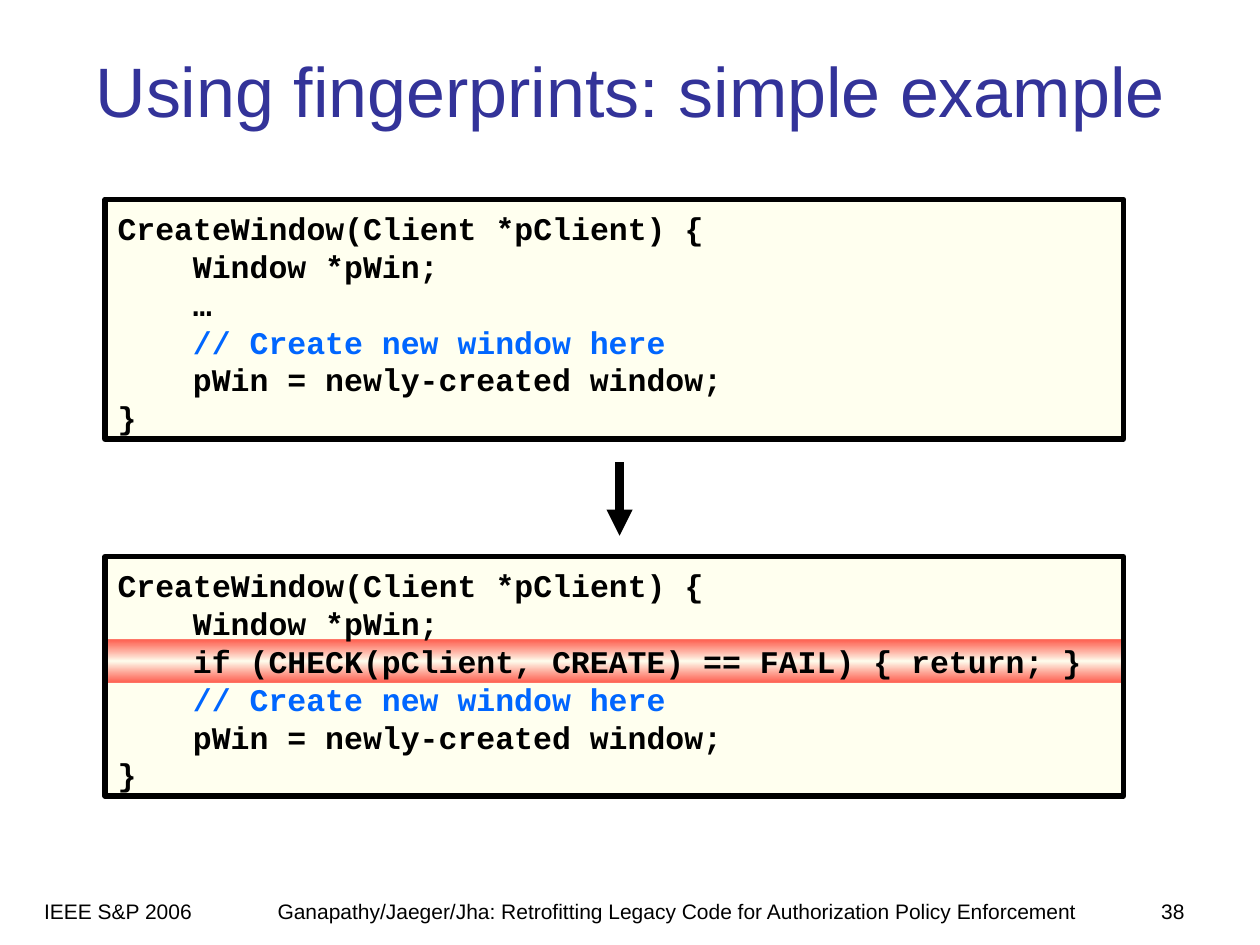
from lxml import etree
from pptx import Presentation
from pptx.dml.color import RGBColor
from pptx.enum import shapes, text
from pptx.oxml import ns
from pptx.util import Cm, Pt

# Content
TITLE = "Using fingerprints: simple example"
BLACK, BLUE = "000000", "0066FF"
COMMON_START = [("CreateWindow(Client *pClient) {", 0, BLACK),
                ("Window *pWin;", 1, BLACK)]
COMMON_END = [("// Create new window here", 1, BLUE),
              ("pWin = newly-created window;", 1, BLACK),
              ("}", 0, BLACK)]
CHANGED_LINES = ["…", "if (CHECK(pClient, CREATE) == FAIL) { return; }"]
FOOTERS = [  # text, left, width, alignment
    ("Ganapathy/Jaeger/Jha: Retrofitting Legacy Code for Authorization Policy Enforcement",
     4.66, 17.99, text.PP_ALIGN.CENTER),
    ("38", 22.65, 1.48, text.PP_ALIGN.RIGHT),
    ("IEEE S&P 2006", 0.64, 4.02, text.PP_ALIGN.LEFT),
]

# Layout in centimetres
BOX_LEFT, BOX_WIDTH, BOX_HEIGHT = 2.12, 20.53, 4.83
BOX_TOPS = [4.02, 11.22]
HIGHLIGHT_TOP, HIGHLIGHT_HEIGHT = 12.9, 0.85
ARROW_X, ARROW_TOP, ARROW_BOTTOM = 12.49, 9.32, 10.8
FOOTER_TOP, FOOTER_HEIGHT = 17.99, 0.68
INDENT = 1.52


def color(value):
    return RGBColor.from_string(value)


def add_xml(parent, tag, **attributes):
    element = etree.SubElement(parent, ns.qn(tag))
    for name, value in attributes.items():
        element.set(name, str(value))
    return element


def format_frame(frame, **values):
    settings = dict(word_wrap=True, auto_size=text.MSO_AUTO_SIZE.NONE,
                    vertical_anchor=text.MSO_ANCHOR.TOP,
                    margin_left=Cm(0.25), margin_right=Cm(0.25),
                    margin_top=Cm(0.13), margin_bottom=Cm(0.13))
    settings.update(values)
    for name, value in settings.items():
        setattr(frame, name, value)


def write(paragraph, words, name, size, value, bold=False):
    run = paragraph.add_run()
    run.text = words
    for key, setting in dict(name=name, size=Pt(size), bold=bold).items():
        setattr(run.font, key, setting)
    run.font.color.rgb = color(value)


def add_rectangle(slide, top, height):
    shape = slide.shapes.add_shape(shapes.MSO_SHAPE.RECTANGLE, Cm(BOX_LEFT),
                                   Cm(top), Cm(BOX_WIDTH), Cm(height))
    shape.shadow.inherit = False
    return shape


def add_code_box(slide, top, lines):
    box = add_rectangle(slide, top, BOX_HEIGHT)
    box.fill.solid()
    box.fill.fore_color.rgb = color("FFFFCC")
    fill_color = box.fill._xPr.find(".//" + ns.qn("a:srgbClr"))
    add_xml(fill_color, "a:alpha", val=30000)
    box.line.color.rgb = color(BLACK)
    box.line.width = Pt(3)
    frame = box.text_frame
    format_frame(frame, margin_top=Cm(0.2))
    for number, (words, level, value) in enumerate(lines):
        paragraph = frame.add_paragraph() if number else frame.paragraphs[0]
        paragraph.alignment = text.PP_ALIGN.LEFT
        paragraph.line_spacing = Pt(21.6)
        properties = paragraph._p.get_or_add_pPr()
        properties.set("marL", str(Cm(INDENT * level)))
        properties.set("indent", "0")
        write(paragraph, words, "Courier New", 18, value, bold=True)


def add_highlight(slide):
    band = add_rectangle(slide, HIGHLIGHT_TOP, HIGHLIGHT_HEIGHT)
    band.line.fill.background()
    band.fill.gradient()
    band.fill.gradient_angle = 270
    stops = band.fill._xPr.find(".//" + ns.qn("a:gsLst"))
    for stop in list(stops):
        stops.remove(stop)
    for position, value, opacity in [(0, "FF0000", 90), (50, "FFFFFF", 100),
                                     (100, "FF0000", 90)]:
        stop = add_xml(stops, "a:gs", pos=position * 1000)
        stop_color = add_xml(stop, "a:srgbClr", val=value)
        add_xml(stop_color, "a:alpha", val=opacity * 1000)


def add_arrow(slide):
    arrow = slide.shapes.add_connector(
        shapes.MSO_CONNECTOR.STRAIGHT, Cm(ARROW_X), Cm(ARROW_TOP),
        Cm(ARROW_X), Cm(ARROW_BOTTOM))
    arrow.line.color.rgb = color(BLACK)
    arrow.line.width = Pt(5)
    add_xml(arrow.line._get_or_add_ln(), "a:tailEnd", type="triangle")
    add_xml(arrow._element.spPr, "a:effectLst")


def main():
    presentation = Presentation()
    presentation.slide_width, presentation.slide_height = Cm(25.4), Cm(19.05)
    slide = presentation.slides.add_slide(presentation.slide_layouts[5])

    # Title
    title = slide.shapes.title
    title.left, title.top, title.width, title.height = map(Cm, (1.27, 0.43, 22.86, 2.74))
    format_frame(title.text_frame, vertical_anchor=text.MSO_ANCHOR.MIDDLE)
    title.text_frame.paragraphs[0].alignment = text.PP_ALIGN.CENTER
    write(title.text_frame.paragraphs[0], TITLE, "Arial", 40, "333399")

    # Code before and after, with the band behind the second box
    add_highlight(slide)
    for top, changed in zip(BOX_TOPS, CHANGED_LINES):
        add_code_box(slide, top, COMMON_START + [(changed, 1, BLACK)] + COMMON_END)
    add_arrow(slide)

    # Footer
    for words, left, width, alignment in FOOTERS:
        footer = slide.shapes.add_textbox(Cm(left), Cm(FOOTER_TOP),
                                          Cm(width), Cm(FOOTER_HEIGHT))
        format_frame(footer.text_frame)
        paragraph = footer.text_frame.paragraphs[0]
        paragraph.alignment = alignment
        write(paragraph, words, "Arial", 12, BLACK)

    presentation.save("out.pptx")


if __name__ == "__main__":
    main()
